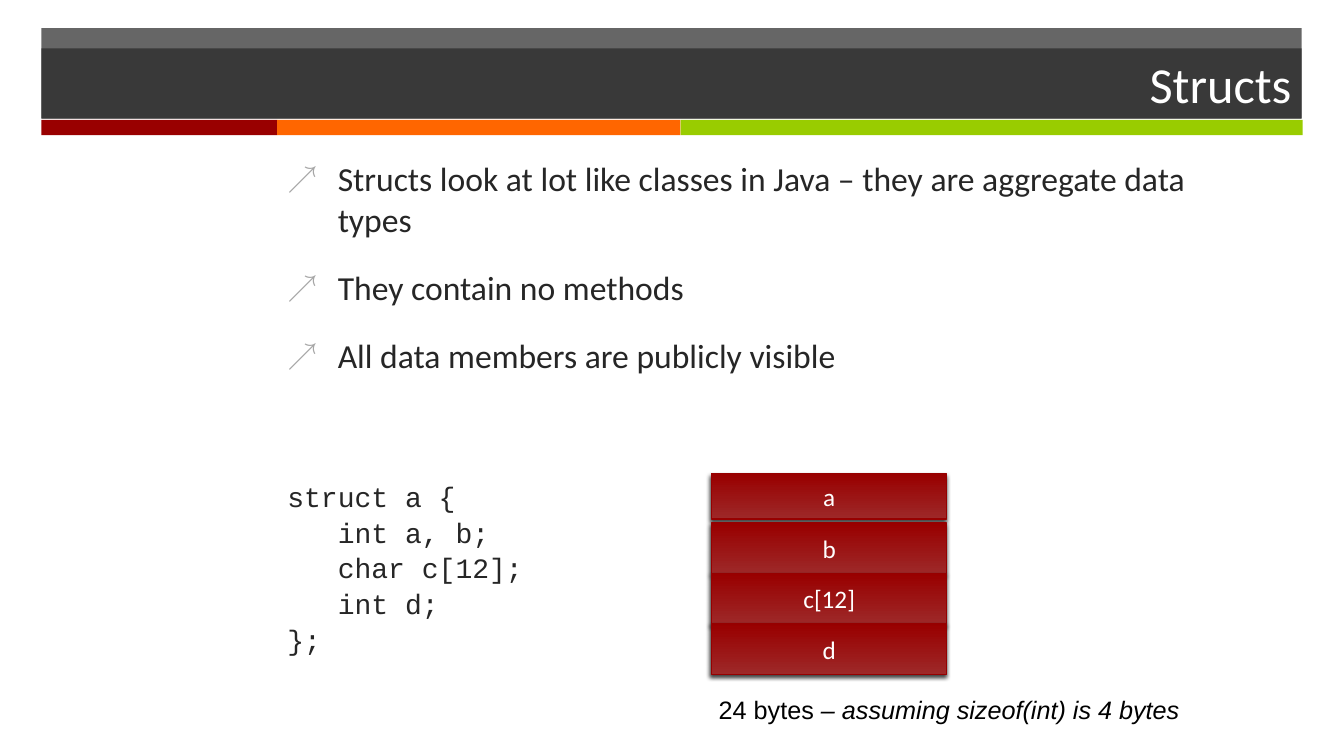
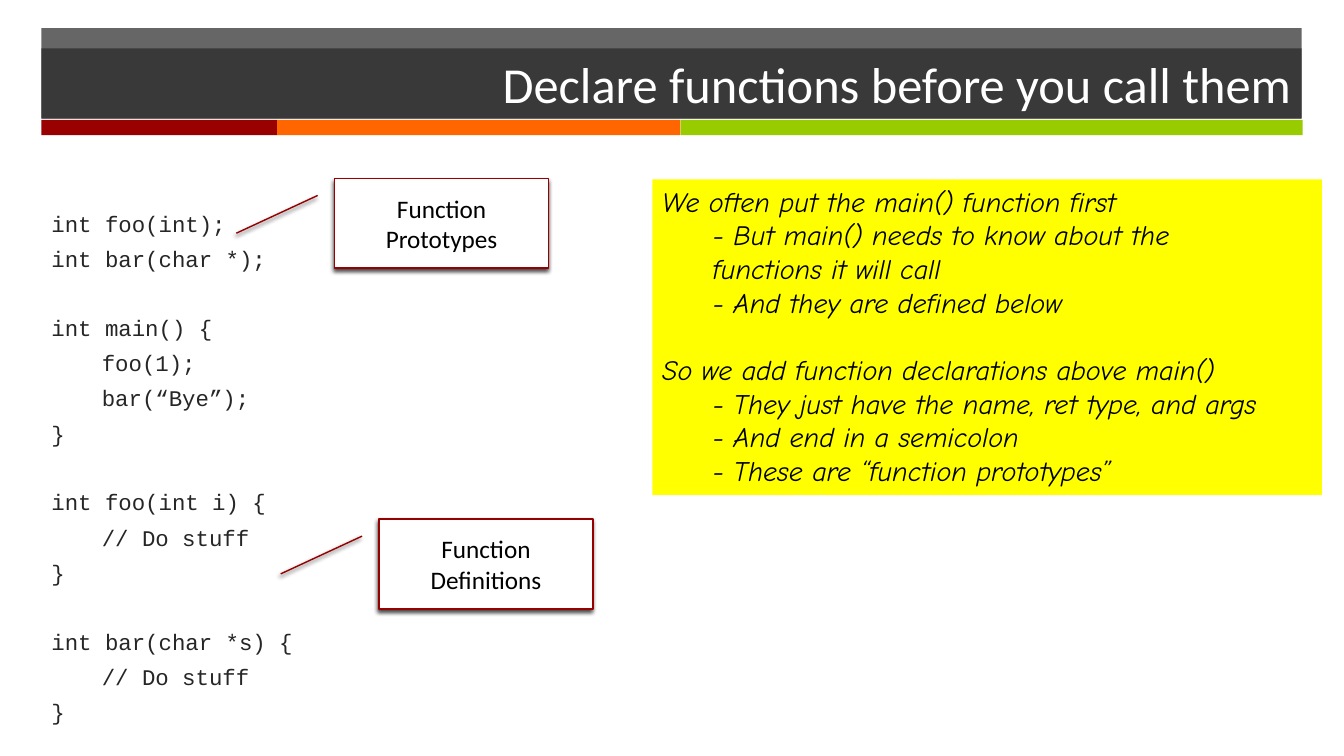
from lxml import etree
from pptx import Presentation
from pptx.dml.color import RGBColor
from pptx.enum.shapes import MSO_SHAPE
from pptx.enum.text import MSO_ANCHOR, MSO_AUTO_SIZE, PP_ALIGN
from pptx.oxml.ns import qn
from pptx.util import Inches, Pt

RECT, CALLOUT = MSO_SHAPE.RECTANGLE, MSO_SHAPE.LINE_CALLOUT_1
LEFT, CENTER, RIGHT = PP_ALIGN.LEFT, PP_ALIGN.CENTER, PP_ALIGN.RIGHT
TOP, MIDDLE = MSO_ANCHOR.TOP, MSO_ANCHOR.MIDDLE
NO_AUTOFIT = MSO_AUTO_SIZE.NONE

INK, RED, ORANGE, GREEN = "262626", "990000", "FF6600", "99CC00"
EDGE, GLOW, BULLET = "960000", "9D2828", "A6A6A6"
WHITE, BLACK, YELLOW = "FFFFFF", "000000", "FFFF00"
SANS, MONO, HAND, PLAIN = "Calibri", "Courier New", "Comic Neue", "Arial"
BAND_LEFT, BAND_WIDTH = 0.41, 12.5

STRUCT_CODE = ["struct a {", "\tint a, b;", "\tchar c[12];", "\tint d;", "};"]
PROTOTYPE_CODE = [
    "int foo(int);", "int bar(char *);", "",
    "int main() {", "\tfoo(1);", "\tbar(“Bye”);", "}", "",
    "int foo(int i) {", "\t// Do stuff", "}", "",
    "int bar(char *s) {", "\t// Do stuff", "}",
]
NOTE_LINES = [
    "We often put the main() function first",
    "\t- But main() needs to know about the",
    "\tfunctions it will call",
    "\t- And they are defined below", "",
    "So we add function declarations above main()",
    "\t- They just have the name, ret type, and args",
    "\t- And end in a semicolon",
    "\t- These are “function prototypes”",
]


def rgb(value):
    """Turn a hex string into a colour."""
    return RGBColor.from_string(value)


def add_child(parent, tag, **attributes):
    """Append a drawing element with the given attributes."""
    child = etree.SubElement(parent, qn(tag))
    for name, value in attributes.items():
        child.set(name, str(value))
    return child


def place(shape, box):
    """Move a shape to a box of left, top, width and height in inches."""
    shape.left, shape.top, shape.width, shape.height = map(Inches, box)


def paint(shape, color, opacity=100):
    """Give a shape a solid fill of some opacity."""
    shape.fill.solid()
    shape.fill.fore_color.rgb = rgb(color)
    if opacity < 100:
        swatch = shape.element.spPr.find(".//" + qn("a:srgbClr"))
        add_child(swatch, "a:alpha", val=opacity * 1000)


def add_box(page, box, kind=RECT):
    """Add a shape with neither line nor shadow."""
    shape = page.shapes.add_shape(kind, *map(Inches, box))
    shape.shadow.inherit = False
    shape.line.fill.background()
    return shape


def raise_box(shape):
    """Outline a shape in dark red and drop a soft shadow below it."""
    shape.line.color.rgb = rgb(EDGE)
    shape.line.width = Pt(1)
    effects = shape.element.spPr.find(qn("a:effectLst"))
    shadow = add_child(effects, "a:outerShdw", blurRad=Pt(3), dist=Pt(2),
                       dir=110 * 60000, rotWithShape=0)
    add_child(add_child(shadow, "a:srgbClr", val=BLACK), "a:alpha", val=75000)


def format_para(para, font, size, color, align=LEFT, italic=False):
    """Set alignment and run fonts of a paragraph."""
    para.alignment = align
    for span in para.runs:
        span.font.name, span.font.size = font, Pt(size)
        span.font.color.rgb = rgb(color)
        span.font.italic = italic


def add_para(frame, text, before=0):
    """Fill the first paragraph if it is free, else append one with space before."""
    first = frame.paragraphs[0]
    para = first if not first.runs else frame.add_paragraph()
    para.text = text
    para.space_before = Pt(0 if para is first else before)
    return para


def add_bullet(frame, text):
    """Add a paragraph with a grey arrow bullet."""
    para = add_para(frame, text, 20)
    props = para._p.get_or_add_pPr()
    props.set("marL", str(Inches(0.5)))
    props.set("indent", str(-Inches(0.5)))
    add_child(add_child(props, "a:buClr"), "a:srgbClr", val=BULLET)
    add_child(props, "a:buSzPct", val=90000)
    add_child(props, "a:buChar", char="↗")
    format_para(para, SANS, 24, INK)


def add_lines(frame, lines, font, size, color, tab, before=0, gap=0, lead=0,
              italic=False):
    """Add tabbed lines; an empty entry becomes a gap and lead opens the block."""
    extra = lead
    for text in lines:
        if not text:
            extra = gap
            continue
        para = add_para(frame, text, before + extra)
        extra = 0
        props = para._p.get_or_add_pPr()
        props.set("marL", "0")
        props.set("indent", "0")
        add_child(props, "a:buNone")
        add_child(add_child(props, "a:tabLst"), "a:tab", pos=Inches(tab), algn="l")
        format_para(para, font, size, color, italic=italic)


def add_label(shape, text, color):
    """Centre a label in a shape."""
    shape.text_frame.word_wrap = True
    shape.text_frame.vertical_anchor = MIDDLE
    shape.text_frame.text = text
    format_para(shape.text_frame.paragraphs[0], SANS, 18, color, CENTER)


def add_bands(page, layout):
    """Build the header bands and keep them behind the layout's placeholders."""
    bands = [(BAND_LEFT, 0.28, BAND_WIDTH, 0.89, INK, 70)]
    left = BAND_LEFT
    for width, color in ((2.34, RED), (4, ORANGE), (6.17, GREEN)):
        bands.append((left, 1.19, width, 0.15, color, 100))
        left += width
    for index, (*box, color, opacity) in enumerate(bands):
        band = add_box(page, box)
        paint(band, color, opacity)
        layout.shapes.element.insert(2 + index, band.element)


def add_page(deck, title, body_box):
    """Add a page with its title and return it with its body frame."""
    page = deck.slides.add_slide(deck.slide_layouts[1])
    heading, body = page.shapes.title, page.placeholders[1]
    place(heading, (BAND_LEFT, 0.48, BAND_WIDTH, 0.7))
    paint(heading, INK, 70)
    heading.text_frame.text = title
    heading.text_frame.vertical_anchor = MIDDLE
    format_para(heading.text_frame.paragraphs[0], SANS, 36, WHITE, RIGHT)
    place(body, body_box)
    for frame in (heading.text_frame, body.text_frame):
        frame.word_wrap = True
        frame.auto_size = NO_AUTOFIT
    body.text_frame.vertical_anchor = TOP
    return page, body.text_frame


def add_memory(page, left, top, width):
    """Stack the struct members as cells, the first one a little lower in height."""
    pitch = 0.5
    cells = [("a", top, 0.45)]
    cells += [(name, top + 0.49 + pitch * row, pitch)
              for row, name in enumerate(("b", "c[12]", "d"))]
    for name, cell_top, height in cells:
        cell = add_box(page, (left, cell_top, width, height))
        cell.fill.gradient()
        cell.fill.gradient_angle = 90
        for stop, color in zip(cell.fill.gradient_stops, (GLOW, RED)):
            stop.color.rgb = rgb(color)
        raise_box(cell)
        add_label(cell, name, WHITE)


def add_size_caption(page, box):
    """Write the struct size with its assumption in italics."""
    frame = page.shapes.add_textbox(*map(Inches, box)).text_frame
    frame.word_wrap = True
    para = add_para(frame, "24 bytes")
    para.add_run().text = " – assuming sizeof(int) is 4 bytes"
    format_para(para, PLAIN, 18, BLACK)
    para.runs[1].font.italic = True


def add_callout(page, left, top, text):
    """Add a white callout whose line points down to the left."""
    callout = add_box(page, (left, top, 2.12, 0.89), CALLOUT)
    for index, value in enumerate((0.19, -0.08, 0.61, -0.46)):
        callout.adjustments[index] = value
    paint(callout, WHITE)
    raise_box(callout)
    add_label(callout, text, BLACK)


def add_note(page, box):
    """Add the yellow note about declarations."""
    note = add_box(page, box)
    paint(note, YELLOW)
    note.text_frame.word_wrap = True
    note.text_frame.vertical_anchor = TOP
    add_lines(note.text_frame, NOTE_LINES, HAND, 20, BLACK, 0.5, gap=24,
              italic=True)


def build_structs(deck):
    """Build the page on structs and their memory."""
    page, frame = add_page(deck, "Structs", (2.75, 1.52, 9.25, 5.36))
    for text in ("Structs look at lot like classes in Java – they are aggregate data types",
                 "They contain no methods",
                 "All data members are publicly visible"):
        add_bullet(frame, text)
    add_lines(frame, STRUCT_CODE, MONO, 20, INK, 1, before=1.4, lead=73)
    add_memory(page, 7.06, 4.7, 2.33)
    add_size_caption(page, (7.03, 6.84, 6.17, 0.4))
    return page


def build_prototypes(deck):
    """Build the page on function prototypes."""
    page, frame = add_page(deck, "Declare functions before you call them",
                           (BAND_LEFT, 2.03, 10.94, 5.4))
    add_lines(frame, PROTOTYPE_CODE, MONO, 16, INK, 1, before=6, gap=24)
    add_callout(page, 3.32, 1.77, "Function Prototypes")
    add_callout(page, 3.76, 5.15, "Function Definitions")
    add_note(page, (6.47, 1.78, 6.64, 3.13))


def main():
    """Build and save the deck."""
    deck = Presentation()
    deck.slide_width, deck.slide_height = Inches(13.33), Inches(7.5)
    add_bands(build_structs(deck), deck.slide_layouts[1])
    build_prototypes(deck)
    deck.save("out.pptx")


if __name__ == "__main__":
    main()
